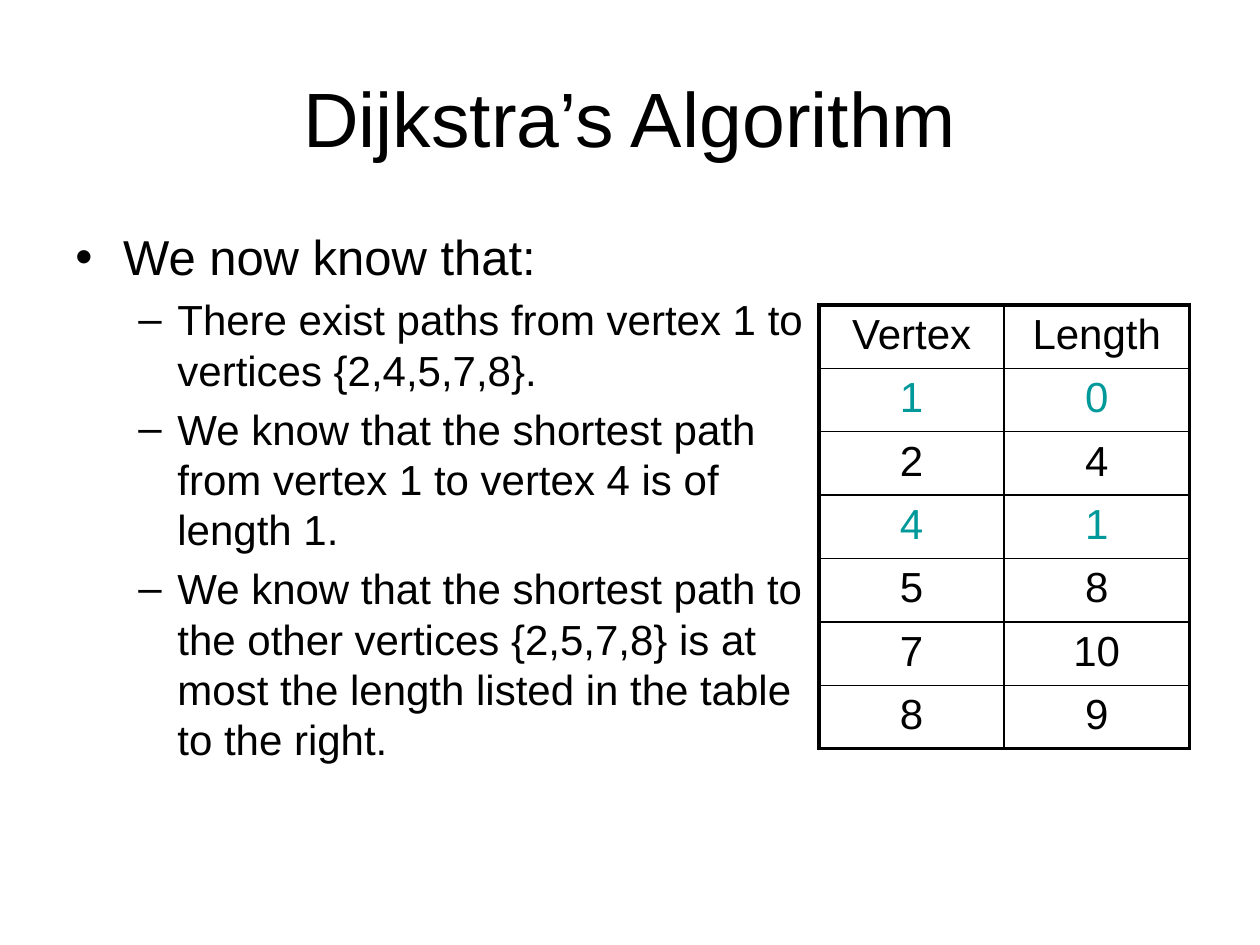
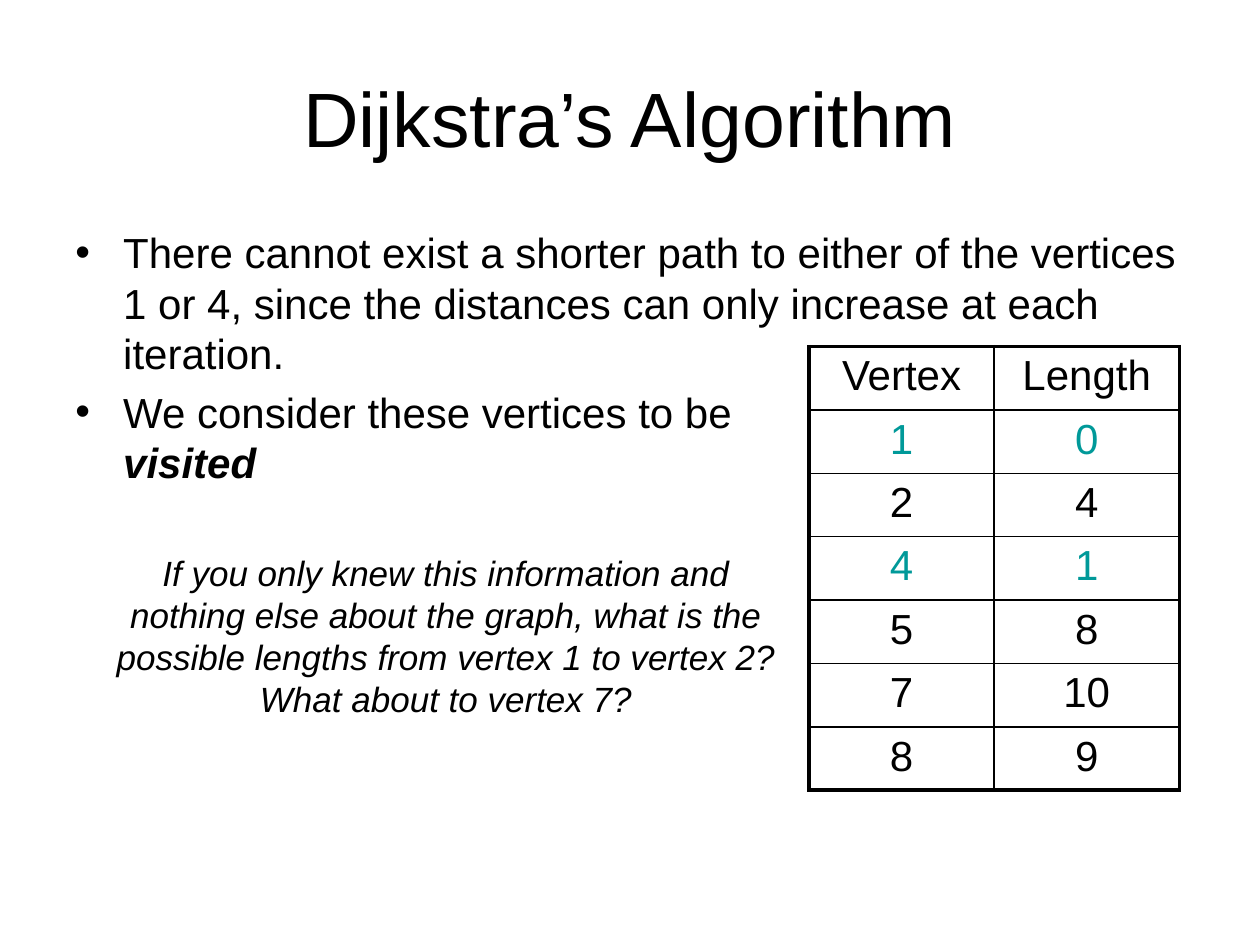
"""Build two slides on what Dijkstra's algorithm knows after visiting vertex 4."""
import lxml.etree
import pptx
import pptx.dml.color
import pptx.enum.text
import pptx.oxml.ns
import pptx.util

Inches = pptx.util.Inches
Pt = pptx.util.Pt
ALIGN = pptx.enum.text.PP_ALIGN
ANCHOR = pptx.enum.text.MSO_ANCHOR

COLOURS = {"text": "000000", "visited": "009999", "border": "000000"}
FONT = "Arial"
BULLETS = [("•", 0.38, 0.38), ("–", 0.81, 0.31)]
TITLE = "Dijkstra’s Algorithm"
LENGTHS = [("Vertex", "Length"), ("1", "0"), ("2", "4"), ("4", "1"),
           ("5", "8"), ("7", "10"), ("8", "9")]
VISITED = {"1", "4"}
COLUMN_WIDTH, TABLE_HEIGHT, LAST_ROW_HEIGHT = 1.47, 3.5, 0.48
THICK, THIN = 2.25, 1


def add_element(parent, tag, **attributes):
    """Append a DrawingML element to the parent and return it."""
    return lxml.etree.SubElement(parent, pptx.oxml.ns.qn(tag), attributes)


def format_runs(paragraph, size, colour="text", italic=False):
    """Give every run of the paragraph the deck font."""
    for run in paragraph.runs:
        run.font.name = FONT
        run.font.size = Pt(size)
        run.font.italic = italic
        run.font.color.rgb = pptx.dml.color.RGBColor.from_string(COLOURS[colour])


def add_text_frame(slide, left, top, width, height):
    """Add a wrapping text box and return its text frame."""
    text_frame = slide.shapes.add_textbox(
        Inches(left), Inches(top), Inches(width), Inches(height)).text_frame
    text_frame.word_wrap = True
    return text_frame


def add_centred_text(slide, box, text, size, italic=False, anchor=ANCHOR.TOP):
    """Add a box with one centred paragraph."""
    text_frame = add_text_frame(slide, *box)
    text_frame.vertical_anchor = anchor
    text_frame.text = text
    paragraph = text_frame.paragraphs[0]
    paragraph.alignment = ALIGN.CENTER
    format_runs(paragraph, size, italic=italic)


def add_bullets(slide, width, items):
    """Add the body text from (level, size, text) items and return its paragraphs."""
    text_frame = add_text_frame(slide, 0.5, 1.75, width, 4.95)
    text_frame.text = "\n".join(text for _, _, text in items)
    for index, (level, size, _) in enumerate(items):
        paragraph = text_frame.paragraphs[index]
        character, margin, hanging = BULLETS[level]
        paragraph.level = level
        properties = paragraph._p.get_or_add_pPr()
        properties.set("marL", str(Inches(margin)))
        properties.set("indent", str(-Inches(hanging)))
        add_element(properties, "a:buFont", typeface=FONT)
        add_element(properties, "a:buChar", char=character)
        if index:
            paragraph.space_before = Pt(0.2 * size)
        format_runs(paragraph, size)
    return text_frame.paragraphs


def set_borders(cell, widths):
    """Draw the left, right, top and bottom borders of a cell."""
    properties = cell._tc.get_or_add_tcPr()
    for side, width in zip("LRTB", widths):
        line = add_element(properties, f"a:ln{side}", w=str(Pt(width)))
        fill = add_element(line, "a:solidFill")
        add_element(fill, "a:srgbClr", val=COLOURS["border"])


def add_length_table(slide, left, top):
    """Add the table of known path lengths with a thick outer frame."""
    last_row, last_column = len(LENGTHS) - 1, len(LENGTHS[0]) - 1
    table = slide.shapes.add_table(
        len(LENGTHS), len(LENGTHS[0]), Inches(left), Inches(top),
        Inches(2 * COLUMN_WIDTH), Inches(TABLE_HEIGHT)).table
    table.first_row = table.horz_banding = False
    for column in table.columns:
        column.width = Inches(COLUMN_WIDTH)
    for row_index, values in enumerate(LENGTHS):
        is_last = row_index == last_row
        table.rows[row_index].height = Inches(
            LAST_ROW_HEIGHT if is_last else (TABLE_HEIGHT - LAST_ROW_HEIGHT) / last_row)
        for column_index, value in enumerate(values):
            cell = table.cell(row_index, column_index)
            outer = (column_index == 0, column_index == last_column, row_index == 0, is_last)
            set_borders(cell, [THICK if edge else THIN for edge in outer])
            cell.fill.background()
            cell.text_frame.text = value
            paragraph = cell.text_frame.paragraphs[0]
            paragraph.alignment = ALIGN.CENTER
            format_runs(paragraph, 24, "visited" if values[0] in VISITED else "text")


def add_slide(presentation):
    """Add a blank slide with the shared title."""
    slide = presentation.slides.add_slide(presentation.slide_layouts[6])
    add_centred_text(slide, (0.5, 0.3, 9, 1.25), TITLE, 44, anchor=ANCHOR.MIDDLE)
    return slide


def main():
    """Build and save the presentation."""
    presentation = pptx.Presentation()
    presentation.slide_width, presentation.slide_height = Inches(10), Inches(7.5)

    slide = add_slide(presentation)
    add_bullets(slide, 6.17, [
        (0, 28, "We now know that:"),
        (1, 24, "There exist paths from vertex 1 to vertices {2,4,5,7,8}."),
        (1, 24, "We know that the shortest path from vertex 1 to vertex 4 is of length 1."),
        (1, 24, "We know that the shortest path to the other vertices {2,5,7,8} "
                "is at most the length listed in the table to the right."),
    ])
    add_length_table(slide, 6.5, 2.42)

    slide = add_slide(presentation)
    paragraphs = add_bullets(slide, 9, [
        (0, 24, "There cannot exist a shorter path to either of the vertices 1 or 4, "
                "since the distances can only increase at each iteration."),
        (0, 24, "We consider these vertices to be\vvisited"),
    ])
    visited_font = paragraphs[-1].runs[-1].font
    visited_font.bold = visited_font.italic = True
    add_length_table(slide, 6.42, 2.75)
    add_centred_text(
        slide, (0.75, 4.33, 5.58, 1.45),
        "If you only knew this information and nothing else about the graph, what is the "
        "possible lengths from vertex 1 to vertex 2? What about to vertex 7?",
        20, italic=True)

    presentation.save("out.pptx")


if __name__ == "__main__":
    main()
